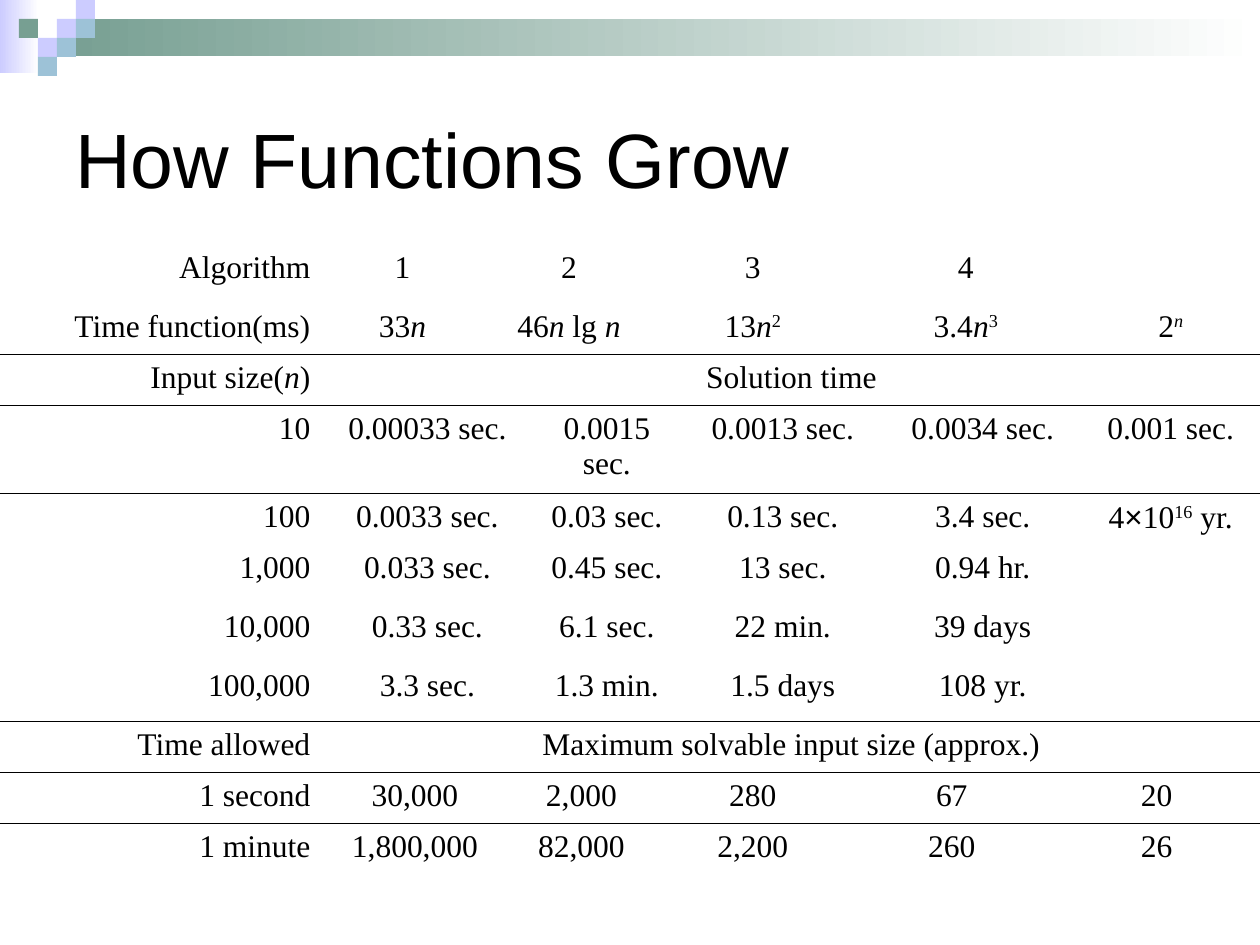
from lxml.etree import SubElement
from pptx import Presentation
from pptx.dml.color import RGBColor as RGB
from pptx.enum.shapes import MSO_SHAPE as SHAPE
from pptx.enum.text import MSO_ANCHOR as ANCHOR, PP_ALIGN as ALIGN
from pptx.oxml import parse_xml
from pptx.oxml.ns import nsdecls, qn
from pptx.util import Pt

PX = 914400 // 126
COLORS = {"text": "000000", "white": "FFFFFF", "lilac": "CCCCFF",
          "green": "779F92", "blue": "9DC2D7"}
SERIF, SANS = "Times New Roman", "Arial"
NO_STYLE = "{2D5ABB26-0587-4C30-8999-92F81FD0307C}"


def add_run(p, text, size, name, italic=False, sup=False):
    r = p.add_run()
    r.text = text
    for key, value in {"size": Pt(size), "name": name, "italic": italic}.items():
        setattr(r.font, key, value)
    r.font.color.rgb = RGB.from_string(COLORS["text"])
    if sup:
        r.font._element.set("baseline", "30000")


def add_rect(x, y, w, h):
    sp = slide.shapes.add_shape(SHAPE.RECTANGLE, x * PX, y * PX, w * PX, h * PX)
    sp.shadow.inherit = False
    sp.line.fill.background()
    return sp


prs = Presentation()
prs.slide_width, prs.slide_height = 1260 * PX, 945 * PX
slide = prs.slides.add_slide(prs.slide_layouts[6])

# Fading bands along the top
for box, color in [((0, 0, 39, 73), "lilac"), ((57, 19, 1203, 37), "green")]:
    sp = add_rect(*box)
    sp.fill.gradient()
    sp.fill.gradient_angle = 180
    for stop, name in zip(sp.fill.gradient_stops, ("white", color)):
        stop.color.rgb = RGB.from_string(COLORS[name])

# Small squares on a 19 px grid: column, row, colour
SQUARE = 19
for col, row, color in [(3, 1, "lilac"), (4, 0, "lilac"), (4, 1, "blue"),
                        (2, 2, "lilac"), (1, 1, "green"), (3, 2, "blue"),
                        (2, 3, "blue")]:
    sp = add_rect(col * SQUARE, row * SQUARE, SQUARE, SQUARE)
    sp.fill.solid()
    sp.fill.fore_color.rgb = RGB.from_string(COLORS[color])

# Title
tf = slide.shapes.add_textbox(63 * PX, 63 * PX, 1134 * PX, 189 * PX).text_frame
tf.word_wrap = True
tf.vertical_anchor = ANCHOR.MIDDLE
add_run(tf.paragraphs[0], "How Functions Grow", 44, SANS)

# Table content: column spans, then cells as text or as (text, format) runs
PLAIN, ITALIC, SUP = {}, {"italic": True}, {"sup": True}
HEAD = [1, 1, 3, 2, 3, 1]
BANNER = [1, 10]
TIMES = [1, 3, 2, 2, 2, 1]
SIZES = [1, 2, 2, 2, 2, 2]
N = ("n", ITALIC)
ROWS = [
    (59, HEAD, ["Algorithm", "1", "2", "3", "4", ""]),
    (51, HEAD, ["Time function(ms)",
                [("33", PLAIN), N],
                [("46", PLAIN), ("n ", ITALIC), ("lg ", PLAIN), N],
                [("13", PLAIN), N, ("2", SUP)],
                [("3.4", PLAIN), N, ("3", SUP)],
                [("2", PLAIN), ("n", ITALIC | SUP)]]),
    (51, BANNER, [[("Input size(", PLAIN), N, (")", PLAIN)], "Solution time"]),
    (88, TIMES, ["10", "0.00033 sec.", "0.0015 sec.", "0.0013 sec.",
                 "0.0034 sec.", "0.001 sec."]),
    (51, TIMES, ["100", "0.0033 sec.", "0.03 sec.", "0.13 sec.", "3.4 sec.",
                 [("4", PLAIN), ("×", {"name": SANS}), ("10", PLAIN),
                  ("16", SUP), (" yr.", PLAIN)]]),
    (59, TIMES, ["1,000", "0.033 sec.", "0.45 sec.", "13 sec.", "0.94 hr.", ""]),
    (59, TIMES, ["10,000", "0.33 sec.", "6.1 sec.", "22 min.", "39 days", ""]),
    (59, TIMES, ["100,000", "3.3 sec.", "1.3 min.", "1.5 days", "108 yr.", ""]),
    (51, BANNER, ["Time allowed", "Maximum solvable input size (approx.)"]),
    (51, SIZES, ["1 second", "30,000", "2,000", "280", "67", "20"]),
    (51, SIZES, ["1 minute", "1,800,000", "82,000", "2,200", "260", "26"]),
]
COL_WIDTHS = [323, 159, 25, 25, 124, 26, 168, 34, 170, 28, 178]
RULED_BELOW = {1, 2, 7, 8}

table = slide.shapes.add_table(
    len(ROWS), len(COL_WIDTHS), 0, 244 * PX, sum(COL_WIDTHS) * PX,
    sum(height for height, _, _ in ROWS) * PX).table
table.first_row = table.horz_banding = False
table._tbl.tblPr.find(qn("a:tableStyleId")).text = NO_STYLE
for column, width in zip(table.columns, COL_WIDTHS):
    column.width = width * PX

for i, (height, spans, cells) in enumerate(ROWS):
    table.rows[i].height = height * PX

    # Rules above and below, no fill
    for cell in table.rows[i].cells:
        tcPr = cell._tc.get_or_add_tcPr()
        for tag, ruled in [("lnT", i - 1 in RULED_BELOW), ("lnB", i in RULED_BELOW)]:
            if ruled:
                ln = SubElement(tcPr, qn(f"a:{tag}"), w=str(Pt(0.45)))
                ln.append(parse_xml(f'<a:solidFill {nsdecls("a")}>'
                                    f'<a:srgbClr val="{COLORS["text"]}"/></a:solidFill>'))
        cell.fill.background()

    # Merged cells and their text
    col = 0
    for span, content in zip(spans, cells):
        cell = table.cell(i, col)
        if span > 1:
            cell.merge(table.cell(i, col + span - 1))
        p = cell.text_frame.paragraphs[0]
        p.alignment = ALIGN.CENTER if col else ALIGN.RIGHT
        runs = [(content, PLAIN)] if isinstance(content, str) else content
        for text, fmt in runs:
            if text:
                add_run(p, text, 18, **({"name": SERIF} | fmt))
        col += span

prs.save("out.pptx")
